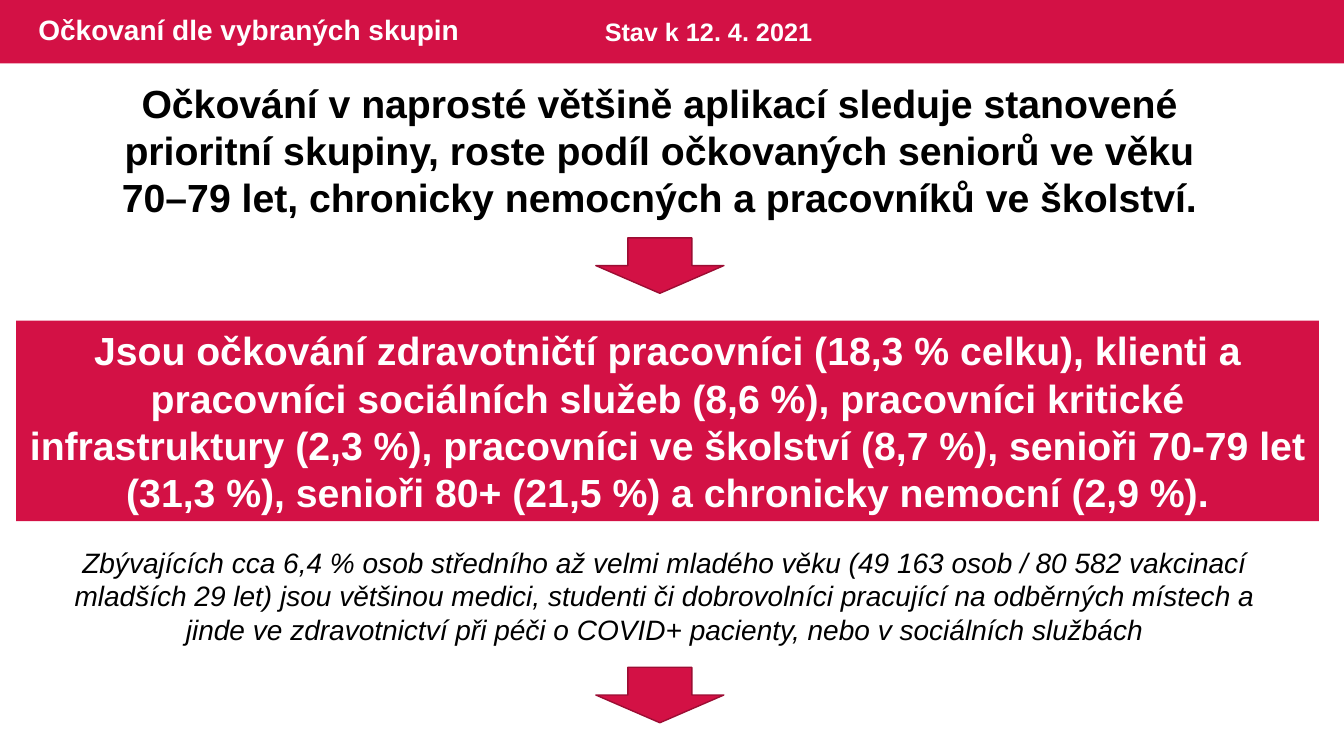
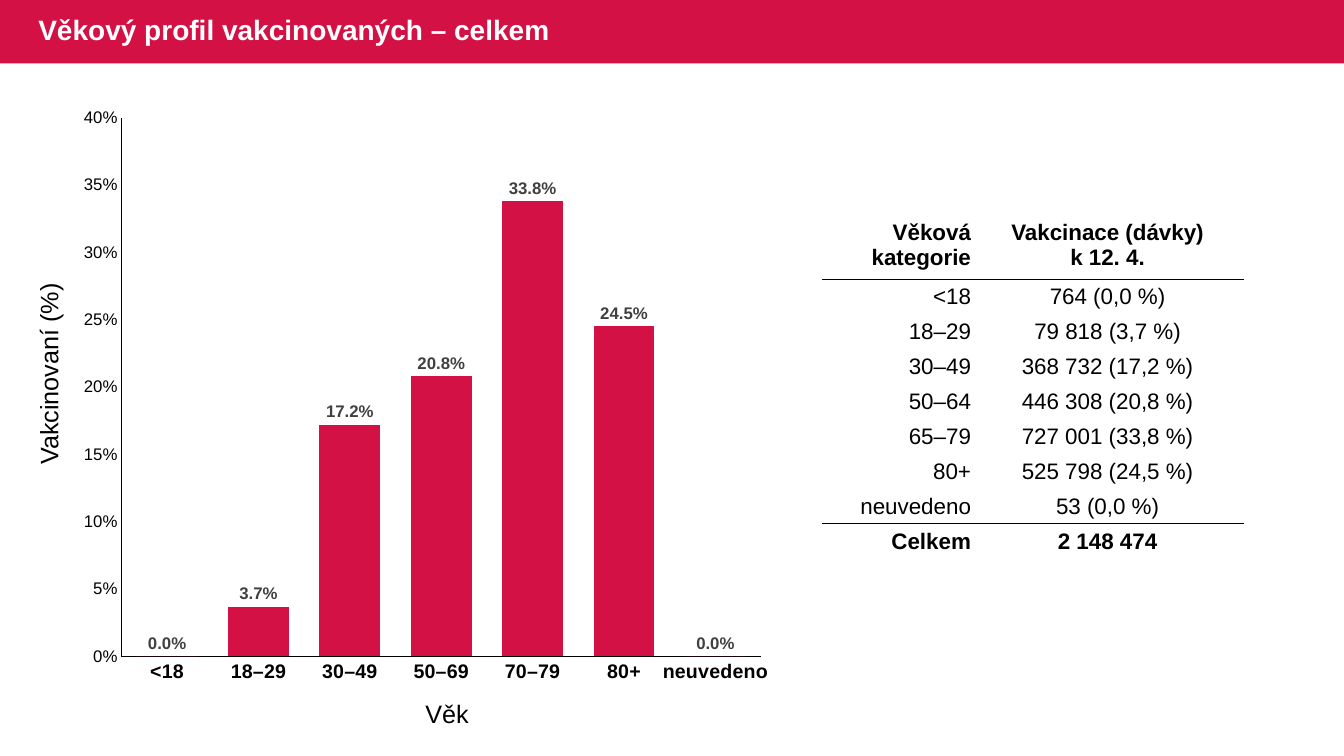
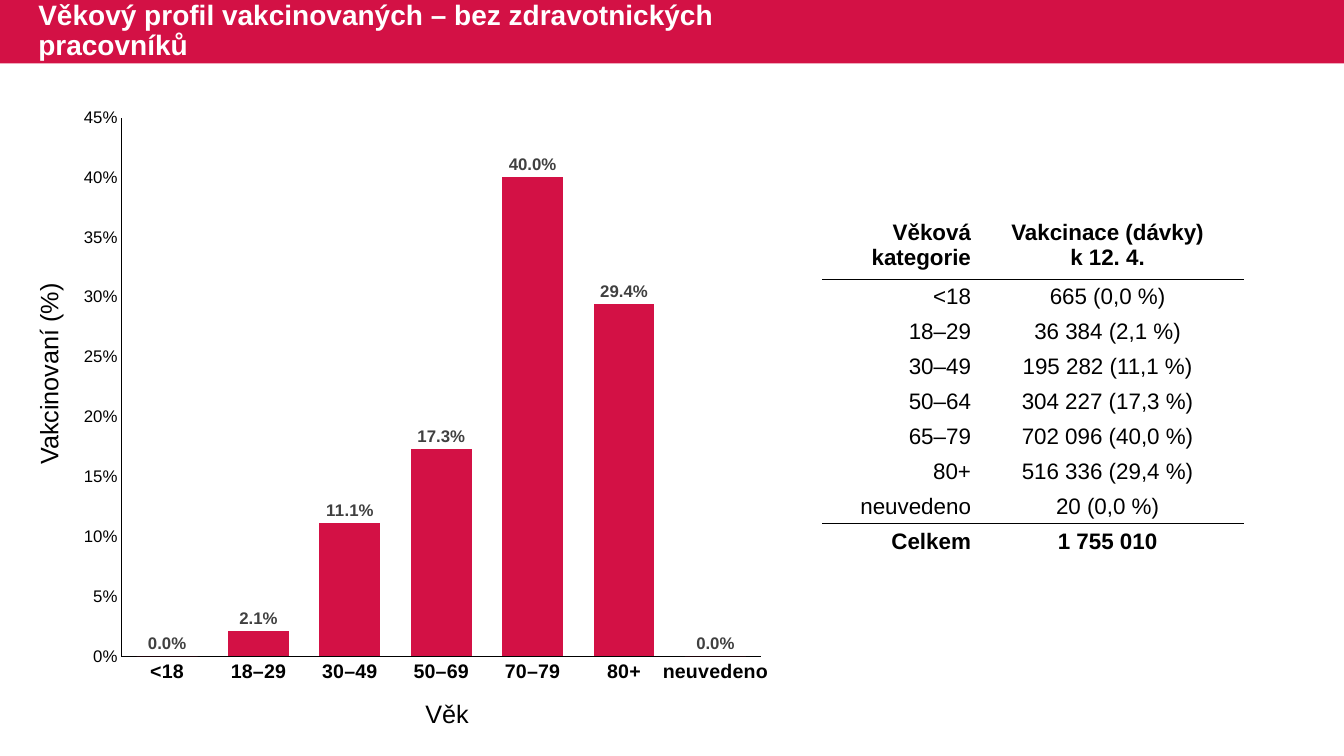
from dataclasses import dataclass

from lxml import etree
from pptx import Presentation
from pptx.chart.data import CategoryChartData
from pptx.dml.color import RGBColor
from pptx.enum.chart import XL_CHART_TYPE, XL_LABEL_POSITION, XL_TICK_MARK
from pptx.enum.shapes import MSO_SHAPE
from pptx.enum.text import MSO_ANCHOR, MSO_AUTO_SIZE, PP_ALIGN
from pptx.oxml.ns import qn
from pptx.util import Inches, Pt

COLUMN = XL_CHART_TYPE.COLUMN_CLUSTERED
OUTSIDE = XL_LABEL_POSITION.OUTSIDE_END
NO_TICK = XL_TICK_MARK.NONE
RECT, ARROW = MSO_SHAPE.RECTANGLE, MSO_SHAPE.DOWN_ARROW
MIDDLE = MSO_ANCHOR.MIDDLE
NO_FIT = MSO_AUTO_SIZE.NONE
LEFT, CENTER, RIGHT = PP_ALIGN.LEFT, PP_ALIGN.CENTER, PP_ALIGN.RIGHT


@dataclass(frozen=True)
class Theme:
    font: str = "Arial"
    red: str = "D31145"
    edge: str = "9C0D33"
    white: str = "FFFFFF"
    black: str = "000000"
    gray: str = "404040"
    lead: int = 28
    title: int = 20
    label: int = 18
    cell: int = 16
    group: int = 14
    scale: int = 12
    chart: int = 10


AGES = ["<18", "18–29", "30–49", "50–69", "70–79", "80+", "neuvedeno"]
ROWS = ["<18", "18–29", "30–49", "50–64", "65–79", "80+", "neuvedeno"]


def color(code):
    return RGBColor.from_string(code)


def border(side, code):
    """Make one cell border; side is L, R, T or B."""
    line = etree.Element(qn(f"a:ln{side}"), w=str(Pt(1)))
    fill = etree.SubElement(line, qn("a:solidFill"))
    etree.SubElement(fill, qn("a:srgbClr"), val=code)
    return line


class Deck:
    def __init__(self, theme):
        self.theme = theme
        self.prs = Presentation()
        self.prs.slide_width = Inches(13.33)
        self.prs.slide_height = Inches(7.5)
        self.layout = self.prs.slide_layouts[5]
        self.slide = None

    def style(self, font, size, code, bold=False, italic=False):
        font.name, font.size = self.theme.font, Pt(size)
        font.bold, font.italic = bold, italic
        font.color.rgb = color(code)

    def fill_text(self, frame, text, size, code, align=LEFT, **face):
        frame.text = text
        for para in frame.paragraphs:
            para.alignment = align
            self.style(para.font, size, code, **face)

    def page(self, title, width=8.13):
        first = self.slide is None
        self.slide = self.prs.slides.add_slide(self.layout)
        if first:
            self.band()
        head = self.slide.shapes.title
        head.left, head.top = Inches(0.28), Inches(0)
        head.width, head.height = Inches(width), Inches(0.63)
        frame = head.text_frame
        frame.auto_size, frame.vertical_anchor = NO_FIT, MIDDLE
        self.fill_text(frame, title, self.theme.title, self.theme.white,
                       bold=True)
        frame.paragraphs[0].line_spacing = 0.9

    def band(self):
        """Place the title band on the layout, behind every slide."""
        band = self.shape(RECT, 0, 0, 13.33, 0.63)
        self.layout.shapes.element.insert(2, band.element)

    def shape(self, kind, x, y, w, h, edge=None):
        box = self.slide.shapes.add_shape(
            kind, Inches(x), Inches(y), Inches(w), Inches(h))
        box.shadow.inherit = False
        box.fill.solid()
        box.fill.fore_color.rgb = color(self.theme.red)
        if edge:
            box.line.color.rgb = color(edge)
            box.line.width = Pt(1)
        else:
            box.line.fill.background()
        return box

    def arrow(self, y):
        self.shape(ARROW, 5.91, y, 1.27, 0.55, self.theme.edge)

    def panel(self, text, x, y, w, h):
        frame = self.shape(RECT, x, y, w, h).text_frame
        frame.word_wrap = True
        self.fill_text(frame, text, self.theme.lead, self.theme.white, CENTER,
                       bold=True)

    def text(self, text, x, y, w, h, size, code=None, align=LEFT, wrap=True,
             turn=0, **face):
        box = self.slide.shapes.add_textbox(
            Inches(x), Inches(y), Inches(w), Inches(h))
        box.rotation = turn
        box.text_frame.word_wrap = wrap
        self.fill_text(box.text_frame, text, size, code or self.theme.black,
                       align, **face)

    def axis(self, axis, size, bold=False):
        axis.has_major_gridlines = False
        axis.major_tick_mark = axis.minor_tick_mark = NO_TICK
        axis.format.line.color.rgb = color(self.theme.black)
        axis.format.line.width = Pt(0.75)
        self.style(axis.tick_labels.font, size, self.theme.black, bold)

    def chart(self, shares, top):
        look = self.theme
        data = CategoryChartData(number_format="0.0%")
        data.categories = AGES
        data.add_series("Series 1", shares)
        chart = self.slide.shapes.add_chart(
            COLUMN, Inches(0.69), Inches(0.96), Inches(7.07), Inches(5.93),
            data).chart
        chart.has_legend = chart.has_title = False
        self.style(chart.font, look.chart, look.black)
        self.axis(chart.category_axis, look.group, True)
        scale = chart.value_axis
        self.axis(scale, look.scale)
        scale.minimum_scale, scale.maximum_scale = 0, top
        scale.major_unit = 0.05
        scale.tick_labels.number_format = "0%"
        scale.tick_labels.number_format_is_linked = False
        plot = chart.plots[0]
        plot.gap_width, plot.overlap = 50, -27
        plot.vary_by_categories = False
        fill = plot.series[0].format.fill
        fill.solid()
        fill.fore_color.rgb = color(look.red)
        plot.has_data_labels = True
        tags = plot.data_labels
        tags.show_value, tags.position = True, OUTSIDE
        tags.number_format, tags.number_format_is_linked = "0.0%", False
        self.style(tags.font, look.scale, look.gray, True)
        self.text("Věk", 4.12, 6.88, 0.64, 0.4, look.label, wrap=False)
        self.text("Vakcinovaní (%)", -0.53, 3.5, 2.02, 0.4, look.label,
                  wrap=False, turn=270)

    def table(self, counts, total):
        look = self.theme
        rows = [("Věková kategorie", "Vakcinace (dávky)\nk 12. 4."),
                *zip(ROWS, counts), ("Celkem", total)]
        last = len(rows) - 1
        grid = self.slide.shapes.add_table(
            len(rows), 2, Inches(8.16), Inches(2.09), Inches(4.17),
            Inches(3.45)).table
        grid.first_row = grid.horz_banding = False
        for col, width in zip(grid.columns, (1.48, 2.69)):
            col.width = Inches(width)
        for i, row in enumerate(rows):
            grid.rows[i].height = Inches((3.45 - 0.68) / last if i else 0.68)
            dark = {"T": i in (1, last), "B": i in (0, last - 1)}
            for j, text in enumerate(row):
                cell = grid.cell(i, j)
                cell.margin_left = cell.margin_right = Inches(0.01)
                cell.margin_top, cell.margin_bottom = Inches(0.01), 0
                cell.vertical_anchor = MIDDLE
                cell.fill.background()
                self.fill_text(cell.text_frame, text, look.cell, look.black,
                               CENTER if j else RIGHT, bold=i in (0, last))
                props = cell._tc.get_or_add_tcPr()
                for k, side in enumerate("LRTB"):
                    code = look.black if dark.get(side) else look.white
                    props.insert(k, border(side, code))


def main():
    look = Theme()
    deck = Deck(look)

    deck.page("Očkovaní dle vybraných skupin")
    deck.text("Stav k 12. 4. 2021", 5.9, 0.11, 2.96, 0.4, look.label,
              look.white, bold=True)
    deck.text("Očkování v naprosté většině aplikací sleduje stanovené "
              "prioritní skupiny, roste podíl očkovaných seniorů ve věku\n"
              "70–79 let, chronicky nemocných a pracovníků ve školství.",
              0.7, 0.74, 11.68, 1.51, look.lead, align=CENTER, bold=True)
    deck.arrow(2.36)
    deck.panel("Jsou očkování zdravotničtí pracovníci (18,3 % celku), "
               "klienti a pracovníci sociálních služeb (8,6 %), pracovníci "
               "kritické infrastruktury (2,3 %), pracovníci ve školství "
               "(8,7 %), senioři 70-79 let (31,3 %), senioři 80+ (21,5 %) "
               "a chronicky nemocní (2,9 %).", 0.16, 3.18, 12.92, 1.99)
    deck.arrow(6.62)
    deck.text("Zbývajících cca 6,4 % osob středního až velmi mladého věku "
              "(49 163 osob / 80 582 vakcinací mladších 29 let) jsou "
              "většinou medici, studenti či dobrovolníci pracující na "
              "odběrných místech a jinde ve zdravotnictví při péči o COVID+ "
              "pacienty, nebo v sociálních službách",
              0.31, 5.36, 12.57, 1.11, look.title, align=CENTER, italic=True)

    deck.page("Věkový profil vakcinovaných – celkem")
    deck.chart([0, 0.037, 0.172, 0.208, 0.338, 0.245, 0], 0.4)
    deck.table(["764 (0,0 %)", "79 818 (3,7 %)", "368 732 (17,2 %)",
                "446 308 (20,8 %)", "727 001 (33,8 %)", "525 798 (24,5 %)",
                "53 (0,0 %)"], "2 148 474")

    deck.page("Věkový profil vakcinovaných – bez zdravotnických pracovníků",
              8.45)
    deck.chart([0, 0.021, 0.111, 0.173, 0.4, 0.294, 0], 0.45)
    deck.table(["665 (0,0 %)", "36 384 (2,1 %)", "195 282 (11,1 %)",
                "304 227 (17,3 %)", "702 096 (40,0 %)", "516 336 (29,4 %)",
                "20 (0,0 %)"], "1 755 010")

    deck.prs.save("out.pptx")


if __name__ == "__main__":
    main()
